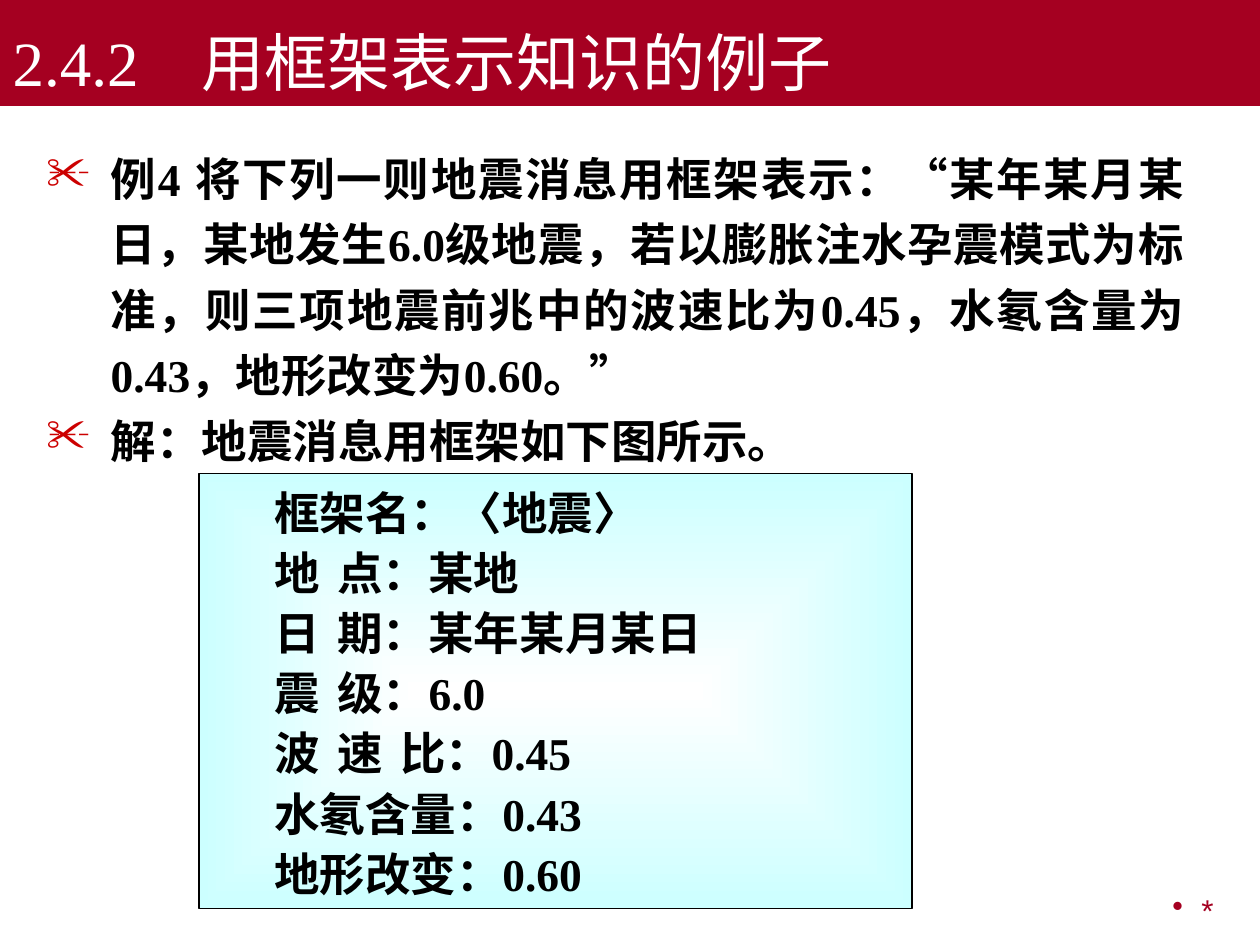
from dataclasses import dataclass

import lxml.etree
import pptx
import pptx.dml.color
import pptx.enum.shapes
import pptx.enum.text
import pptx.oxml
import pptx.oxml.ns
import pptx.util

Inches = pptx.util.Inches
Align = pptx.enum.text.PP_ALIGN
Anchor = pptx.enum.text.MSO_ANCHOR
COLORS = {"crimson": "A50021", "scissors": "CC0000", "text": "000000",
          "white": "FFFFFF", "aqua": "CCFFFF"}
SERIF, SANS = "Times New Roman", "Arial"


@dataclass(frozen=True)
class Slot:
    label: str
    value: str
    tabs: tuple[float, ...] = (0.5,)


EARTHQUAKE_SLOTS = (
    Slot("地\t点", "某地", (0.5, 1.43)),
    Slot("日\t期", "某年某月某日", (0.5, 1.43)),
    Slot("震\t级", "6.0", (0.5, 1.43)),
    Slot("波\t速\t比", "0.45", (0.5, 1.02, 1.55)),
    Slot("水氡含量", "0.43"),
    Slot("地形改变", "0.60"),
)


def rgb(name: str) -> pptx.dml.color.RGBColor:
    return pptx.dml.color.RGBColor.from_string(COLORS[name])


def write(frame, text: str, *, first: bool = False, size: float = 26,
          font: str = SERIF, color: str = "text", bold: bool = False,
          align=Align.LEFT, spacing: float = 1.0, indent: float = 0,
          bullet: str = "", bullet_color: str = "scissors",
          tabs: tuple[float, ...] = ()) -> None:
    paragraph = frame.paragraphs[0] if first else frame.add_paragraph()
    paragraph.alignment = align
    paragraph.line_spacing = spacing
    paragraph.space_before = pptx.util.Pt(0)
    properties = paragraph._p.get_or_add_pPr()
    properties.set("marL", str(Inches(indent)))
    properties.set("indent", str(-Inches(indent)))
    if bullet:
        tint = lxml.etree.SubElement(properties, pptx.oxml.ns.qn("a:buClr"))
        lxml.etree.SubElement(tint, pptx.oxml.ns.qn("a:srgbClr"), val=COLORS[bullet_color])
        lxml.etree.SubElement(properties, pptx.oxml.ns.qn("a:buChar"), char=bullet)
    if tabs:
        stops = lxml.etree.SubElement(properties, pptx.oxml.ns.qn("a:tabLst"))
        for stop in tabs:
            lxml.etree.SubElement(stops, pptx.oxml.ns.qn("a:tab"),
                                  pos=str(Inches(stop)), algn="l")
    run = paragraph.add_run()
    run.text = text
    run.font.size = pptx.util.Pt(size)
    run.font.name = font
    run.font.bold = bold
    run.font.color.rgb = rgb(color)


def add_title(slide) -> None:
    title = slide.shapes.title
    title.left, title.top = Inches(0), Inches(0)
    title.width, title.height = Inches(10), Inches(0.84)
    title.fill.solid()
    title.fill.fore_color.rgb = rgb("crimson")
    title.text_frame.auto_size = pptx.enum.text.MSO_AUTO_SIZE.NONE
    title.text_frame.vertical_anchor = Anchor.BOTTOM
    write(title.text_frame, "2.4.2\t用框架表示知识的例子", first=True, size=36,
          color="white", tabs=(1.38,))


def add_text_area(slide, left: float, top: float, width: float, height: float):
    area = slide.shapes.add_textbox(Inches(left), Inches(top), Inches(width), Inches(height))
    area.text_frame.word_wrap = True
    return area.text_frame


def fill_from_center(shape, center: str, edge: str) -> None:
    shape.fill.gradient()
    gradient = shape._element.spPr.find(pptx.oxml.ns.qn("a:gradFill"))
    for stop, color in zip(shape.fill.gradient_stops, (center, edge)):
        stop.color.rgb = rgb(color)
    gradient.remove(gradient.find(pptx.oxml.ns.qn("a:lin")))
    shade = lxml.etree.SubElement(gradient, pptx.oxml.ns.qn("a:path"))
    shade.set("path", "rect")
    lxml.etree.SubElement(shade, pptx.oxml.ns.qn("a:fillToRect"),
                          l="50000", t="50000", r="50000", b="50000")


def add_earthquake_frame(slide) -> None:
    box = slide.shapes.add_shape(pptx.enum.shapes.MSO_SHAPE.RECTANGLE, Inches(1.58),
                                 Inches(3.76), Inches(5.66), Inches(3.45))
    box.shadow.inherit = False
    fill_from_center(box, "white", "aqua")
    box.line.color.rgb = rgb("text")
    box.line.width = pptx.util.Pt(0.75)
    frame = box.text_frame
    frame.vertical_anchor = Anchor.TOP
    write(frame, "\t框架名：〈地震〉", first=True, bold=True, spacing=1.1, tabs=(0.17,))
    for slot in EARTHQUAKE_SLOTS:
        write(frame, f"\t{slot.label}：{slot.value}", bold=True, spacing=1.1, tabs=slot.tabs)


def main() -> None:
    presentation = pptx.Presentation()
    presentation.slide_width, presentation.slide_height = Inches(10), Inches(7.5)
    slide = presentation.slides.add_slide(presentation.slide_layouts[5])

    page_mark = add_text_area(slide, 7.4, 7.02, 2.33, 0.52)
    write(page_mark, "*", first=True, size=18, font=SANS, color="crimson",
          align=Align.RIGHT, bullet="•", bullet_color="crimson", indent=0.23)
    add_title(slide)

    example = add_text_area(slide, 0.27, 1.06, 9.23, 5.91)
    item = dict(bold=True, align=Align.JUSTIFY, spacing=1.2, indent=0.51, bullet="✂")
    write(example, "例4 将下列一则地震消息用框架表示：“某年某月某日，某地发生6.0级地震，"
          "若以膨胀注水孕震模式为标准，则三项地震前兆中的波速比为0.45，"
          "水氡含量为0.43，地形改变为0.60。”", first=True, **item)
    write(example, "解：地震消息用框架如下图所示。", font=SANS, **item)
    add_earthquake_frame(slide)
    presentation.save("out.pptx")


if __name__ == "__main__":
    main()
